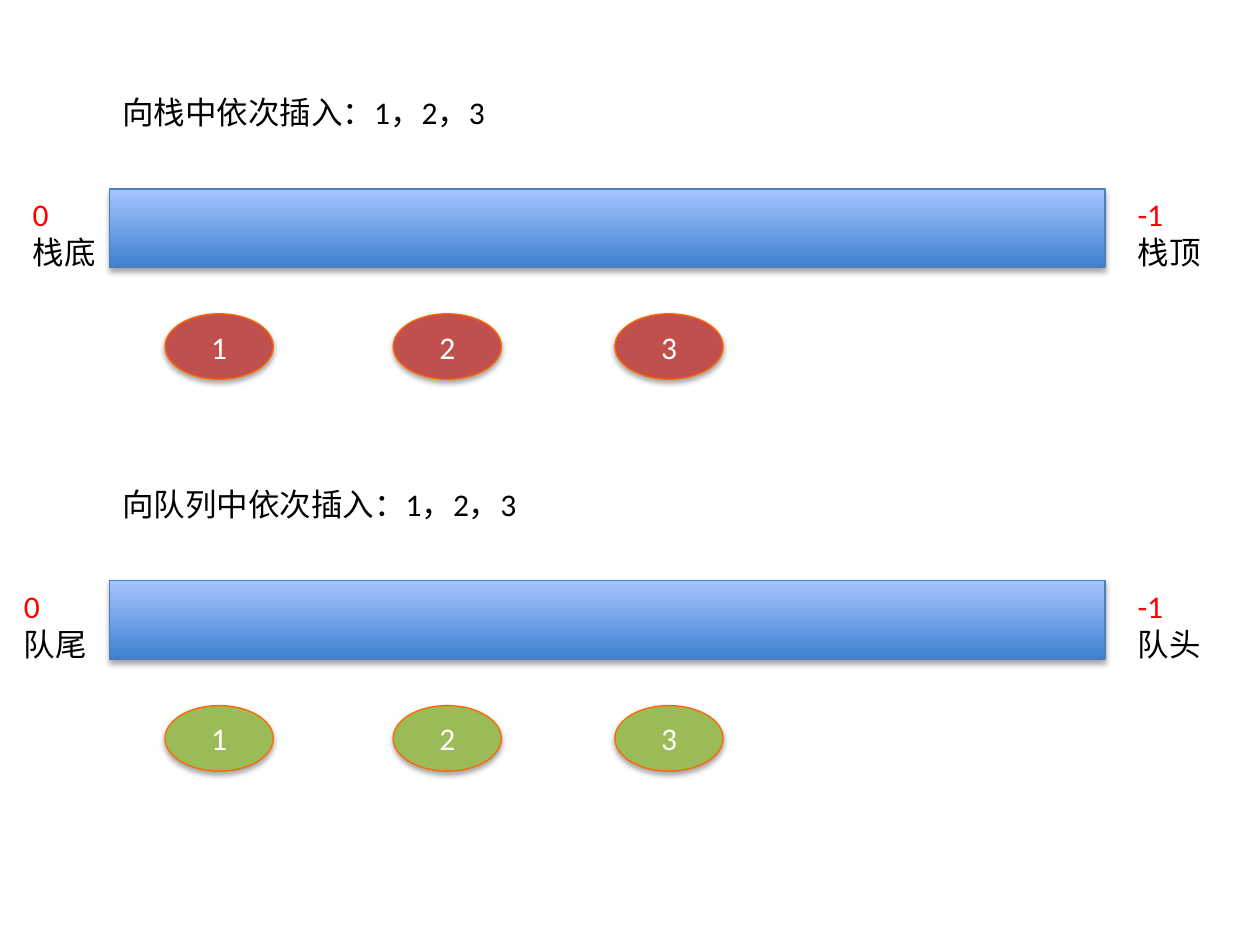
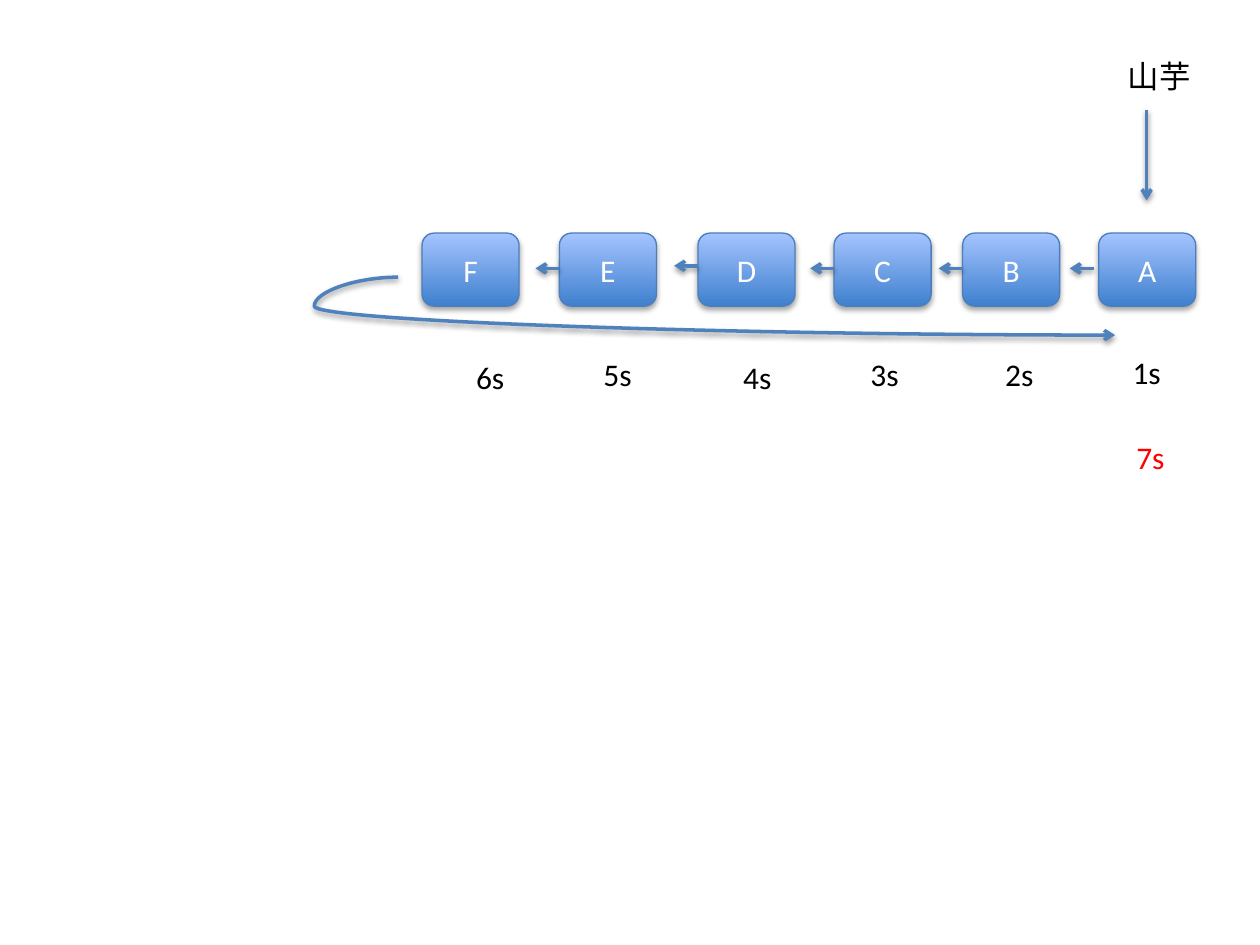
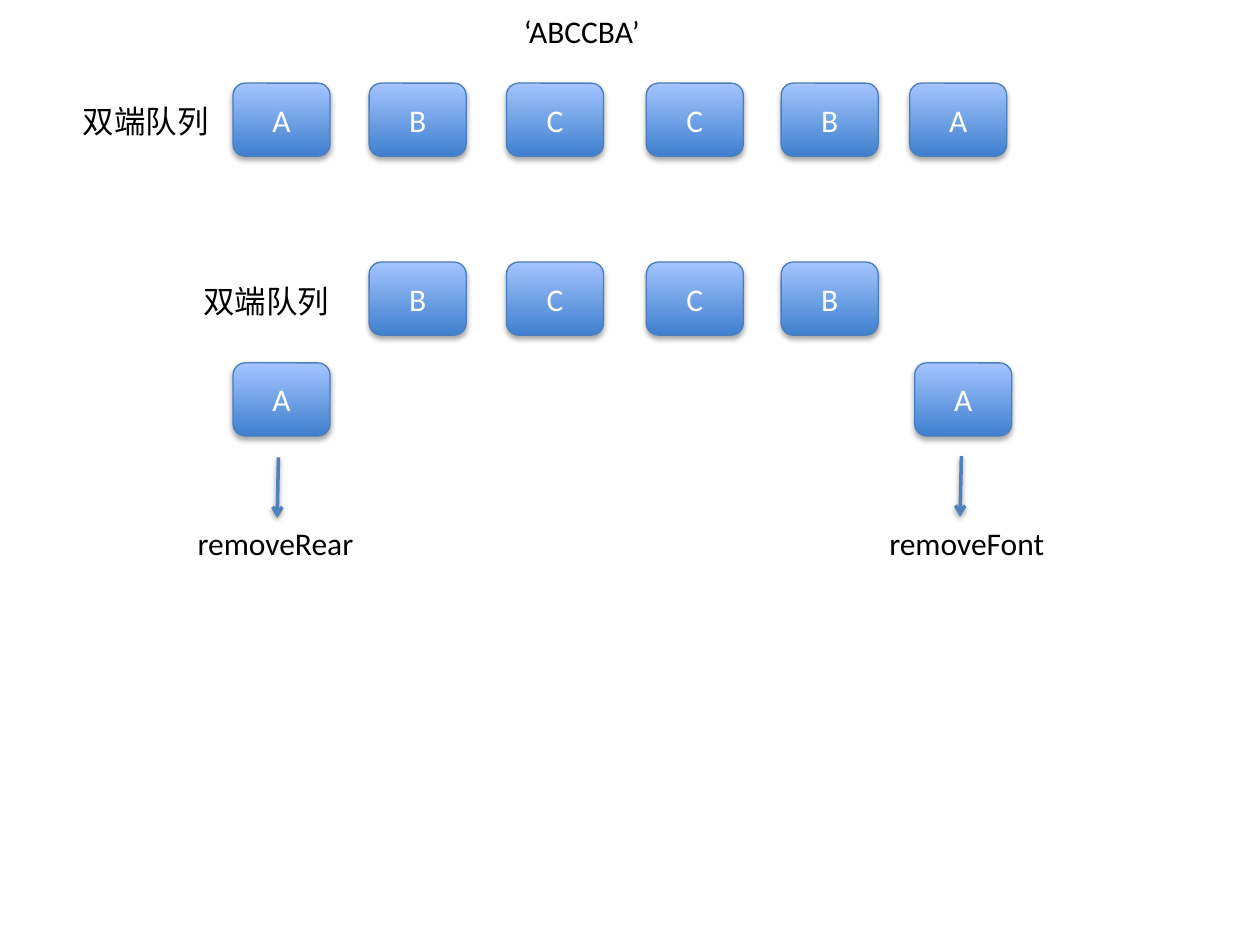
from lxml.etree import SubElement
from pptx import Presentation
from pptx.dml.color import RGBColor
from pptx.enum.shapes import MSO_CONNECTOR, MSO_SHAPE
from pptx.enum.text import MSO_ANCHOR, PP_ALIGN
from pptx.oxml.ns import qn
from pptx.util import Inches, Pt

# Shared colours
BLACK = RGBColor(0x00, 0x00, 0x00)
WHITE = RGBColor(0xFF, 0xFF, 0xFF)
RED = RGBColor(0xFF, 0x00, 0x00)
BLUE_DARK = RGBColor(0x3F, 0x80, 0xCE)
BLUE_LIGHT = RGBColor(0xA4, 0xC4, 0xFF)
BLUE_EDGE = RGBColor(0x4B, 0x7E, 0xBC)
ARROW_BLUE = RGBColor(0x4F, 0x81, 0xBD)
BRICK = RGBColor(0xC0, 0x50, 0x4D)
GREEN = RGBColor(0x9B, 0xBB, 0x59)
ORANGE = RGBColor(0xFF, 0x66, 0x00)

# Shared sizes, in inches
TEXT_FORMAT = {"name": "Calibri", "size": Pt(18)}
LINE_HEIGHT = 0.4
BAR = (7.9, 0.62)
BALL = (0.86, 0.52)
CARD = (0.77, 0.58)
BALL_COLUMNS = (1.31, 3.12, 4.88)
PANEL_PITCH = 3.11
CIRCLE_COLUMNS = (8.72, 7.64, 6.62, 5.54, 4.44, 3.35)
DEQUE_COLUMNS = (1.85, 2.93, 4.02, 5.13, 6.2, 7.22)


def write_lines(frame, lines, alignment):
    """Fill a text frame with (text, colour) lines."""
    for index, (text, color) in enumerate(lines):
        paragraph = frame.add_paragraph() if index else frame.paragraphs[0]
        paragraph.alignment = alignment
        run = paragraph.add_run()
        run.text = text
        for name, value in TEXT_FORMAT.items():
            setattr(run.font, name, value)
        run.font.color.rgb = color


def add_shadow(shape, opacity, distance):
    """Put a soft shadow straight below a shape or connector."""
    effects = SubElement(shape.element.spPr, qn("a:effectLst"))
    shadow = SubElement(effects, qn("a:outerShdw"), blurRad=str(Pt(3.1)),
                        dist=str(Pt(distance)), dir="5400000", rotWithShape="0")
    color = SubElement(shadow, qn("a:srgbClr"), val=str(BLACK))
    SubElement(color, qn("a:alpha"), val=str(opacity * 1000))


def add_text(slide, left, top, width, lines, alignment=PP_ALIGN.LEFT, wrap=False):
    if isinstance(lines, str):
        lines = [(lines, BLACK)]
    height = LINE_HEIGHT if len(lines) == 1 else 0.71
    box = slide.shapes.add_textbox(*map(Inches, (left, top, width, height)))
    box.text_frame.word_wrap = wrap
    write_lines(box.text_frame, lines, alignment)


def add_block(slide, kind, left, top, size, text="", fill=None, edge=BLUE_EDGE):
    """Add a shape with a plain fill, or the blue gradient if none is given."""
    shape = slide.shapes.add_shape(kind, *map(Inches, (left, top, *size)))
    if fill is None:
        shape.fill.gradient()
        shape.fill.gradient_angle = 90
        for stop, color in zip(shape.fill.gradient_stops, (BLUE_DARK, BLUE_LIGHT)):
            stop.color.rgb = color
    else:
        shape.fill.solid()
        shape.fill.fore_color.rgb = fill
    shape.line.color.rgb = edge
    shape.line.width = Pt(0.75)
    add_shadow(shape, 35, 1.8)
    if text:
        shape.text_frame.vertical_anchor = MSO_ANCHOR.MIDDLE
        write_lines(shape.text_frame, [(text, WHITE)], PP_ALIGN.CENTER)


def add_card(slide, left, top, letter):
    add_block(slide, MSO_SHAPE.ROUNDED_RECTANGLE, left, top, CARD, letter)


def add_arrow(slide, start, end, bend=None):
    """Add an arrow; a bend is the curve's turning point as a share of its width."""
    kind = MSO_CONNECTOR.STRAIGHT if bend is None else MSO_CONNECTOR.CURVE
    arrow = slide.shapes.add_connector(kind, *map(Inches, (*start, *end)))
    arrow.line.color.rgb = ARROW_BLUE
    arrow.line.width = Pt(2)
    SubElement(arrow.line._get_or_add_ln(), qn("a:tailEnd"), type="arrow")
    if bend is not None:
        guides = arrow.element.spPr.find(qn("a:prstGeom")).get_or_add_avLst()
        SubElement(guides, qn("a:gd"), name="adj1", fmla=f"val {round(bend * 100000)}")
    add_shadow(arrow, 38, 1.6)


def add_panel(slide, top, title, title_width, ball_color, left_end, right_end):
    """Title, bar with its two ends named, and three numbered balls."""
    bar_top = top + 0.81
    add_text(slide, 0.87, top, title_width, title, wrap=True)
    add_block(slide, MSO_SHAPE.RECTANGLE, 0.87, bar_top, BAR)
    for number, left in enumerate(BALL_COLUMNS, 1):
        add_block(slide, MSO_SHAPE.OVAL, left, top + 1.8, BALL, str(number),
                  ball_color, ORANGE)
    for index, (left, name) in ((0, left_end), (-1, right_end)):
        add_text(slide, left, bar_top, 0.71, [(str(index), RED), (name, BLACK)])


def build_stack_and_queue(slide):
    panels = (
        ("向栈中依次插入：1，2，3", 3.11, BRICK, (0.16, "栈底"), (8.93, "栈顶")),
        ("向队列中依次插入：1，2，3", 3.48, GREEN, (0.09, "队尾"), (8.93, "队头")),
    )
    for row, panel in enumerate(panels):
        add_panel(slide, 0.69 + row * PANEL_PITCH, *panel)


def build_hot_potato(slide):
    # Players, with the time at which each holds the potato
    times = ((8.89, 2.75), (7.88, 2.77), (6.81, 2.77),
             (5.8, 2.79), (4.69, 2.77), (3.68, 2.79))
    for second, (left, place) in enumerate(zip(CIRCLE_COLUMNS, times), 1):
        add_card(slide, left, 1.85, "ABCDEF"[second - 1])
        add_text(slide, *place, 0.43, f"{second}s")
    add_text(slide, 8.92, 3.43, 0.43, [("7s", RED)])

    # The potato and its way round
    add_text(slide, 8.85, 0.4, 0.71, "山芋")
    add_arrow(slide, (9.1, 0.87), (9.1, 1.59))
    for left, top in ((8.68, 2.13), (7.64, 2.13), (6.62, 2.13),
                      (5.54, 2.11), (4.44, 2.13)):
        add_arrow(slide, (left, top), (left - 0.19, top))
    add_arrow(slide, (3.16, 2.2), (8.85, 2.66), bend=-0.117)


def build_palindrome(slide):
    # Full deque
    add_text(slide, 4.06, 0.05, 1.16, "‘ABCCBA’")
    add_text(slide, 0.55, 0.76, 1.21, "双端队列", PP_ALIGN.CENTER)
    for left, letter in zip(DEQUE_COLUMNS, "ABCCBA"):
        add_card(slide, left, 0.66, letter)

    # Deque without its two ends
    add_text(slide, 1.51, 2.19, 1.21, "双端队列", PP_ALIGN.CENTER)
    for left, letter in zip(DEQUE_COLUMNS[1:-1], "BCCB"):
        add_card(slide, left, 2.08, letter)

    # Removed ends
    for card_left, arrow_left, arrow_top, text_left, method in (
            (1.85, 2.21, 3.63, 1.47, "removeRear"),
            (7.26, 7.63, 3.62, 6.96, "removeFont")):
        add_card(slide, card_left, 2.88, "A")
        add_arrow(slide, (arrow_left, arrow_top), (arrow_left - 0.01, arrow_top + 0.48))
        add_text(slide, text_left, 4.11, 1.46, method)


def main():
    presentation = Presentation()
    presentation.slide_width = Inches(10)
    presentation.slide_height = Inches(7.5)
    for build in (build_stack_and_queue, build_hot_potato, build_palindrome):
        build(presentation.slides.add_slide(presentation.slide_layouts[6]))
    presentation.save("out.pptx")


main()
